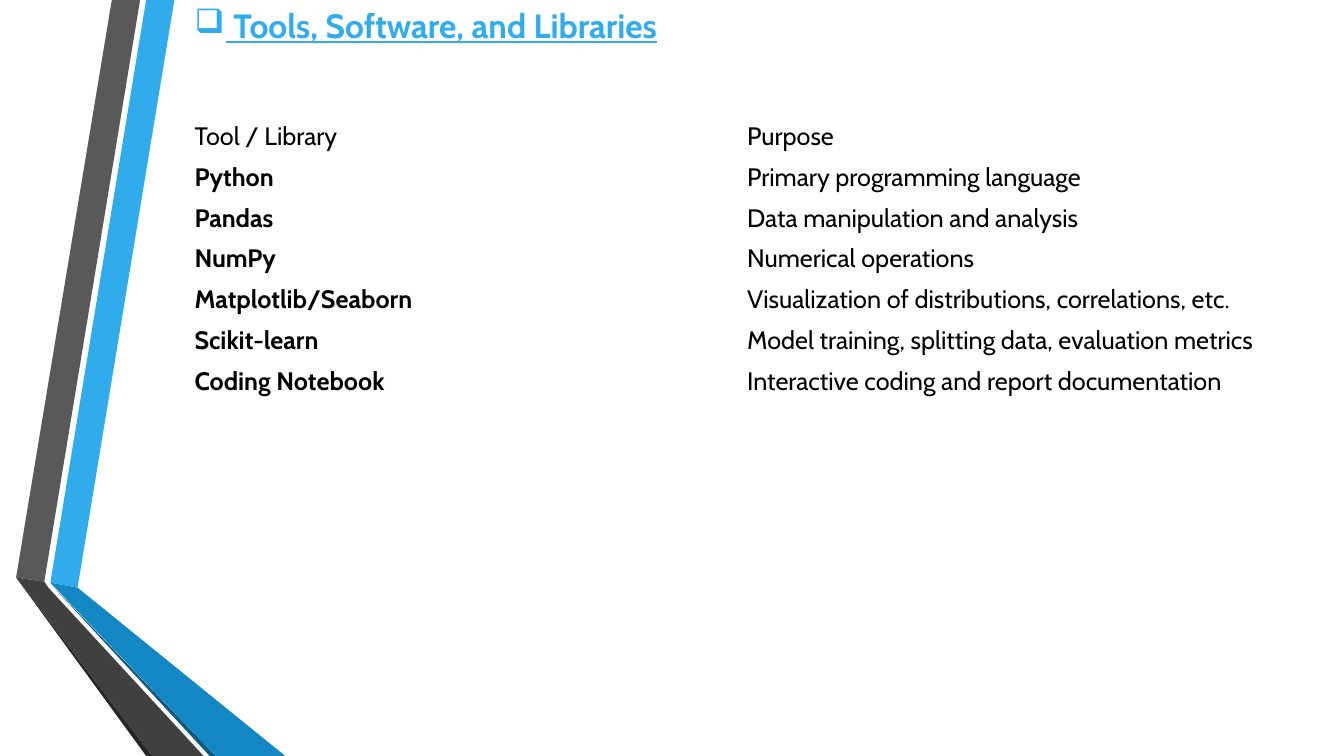
from dataclasses import dataclass

from lxml import etree
from pptx import Presentation
from pptx import util as u
from pptx.dml.color import RGBColor
from pptx.enum import text
from pptx.oxml.ns import qn

FONT = "Cabin"
PLAIN_TABLE_STYLE = "{2D5ABB26-0587-4C30-8999-92F81FD0307C}"
COLORS = {
    "sky": "30ACEC",
    "blue": "1287C3",
    "navy": "0C5A82",
    "gray": "595959",
    "charcoal": "404040",
    "dark": "262626",
    "black": "000000",
}


@dataclass
class Ribbon:
    color: str
    points: list[tuple[float, float]]


@dataclass
class Tool:
    name: str
    purpose: str
    bold: bool = True


RIBBONS = [
    Ribbon("sky", [(0.5, 5.78), (0.77, 5.83), (1.73, 0), (1.45, 0)]),
    Ribbon("gray", [(1.39, 0), (1.11, 0), (0.16, 5.73), (0.44, 5.77)]),
    Ribbon("dark", [(0.16, 5.73), (1.45, 7.5), (1.51, 7.5)]),
    Ribbon("navy", [(0.5, 5.79), (2.08, 7.5), (2.14, 7.5)]),
    Ribbon("blue", [(0.5, 5.78), (2.14, 7.5), (2.83, 7.5), (0.77, 5.83)]),
    Ribbon("charcoal", [(2.02, 7.5), (0.48, 5.83), (0.44, 5.77), (0.16, 5.73), (1.51, 7.5)]),
]

TOOLS = [
    Tool("Tool / Library", "Purpose", bold=False),
    Tool("Python", "Primary programming language"),
    Tool("Pandas", "Data manipulation and analysis"),
    Tool("NumPy", "Numerical operations"),
    Tool("Matplotlib/Seaborn", "Visualization of distributions, correlations, etc."),
    Tool("Scikit-learn", "Model training, splitting data, evaluation metrics"),
    Tool("Coding Notebook", "Interactive coding and report documentation"),
]


def rgb(name: str) -> RGBColor:
    return RGBColor.from_string(COLORS[name])


def format_run(r, size: float, color: str, bold: bool, underline: bool = False) -> None:
    r.font.name = FONT
    r.font.size = u.Pt(size)
    r.font.bold = bold
    r.font.underline = underline
    r.font.color.rgb = rgb(color)


def add_ribbon(s, ribbon: Ribbon) -> None:
    points = [(u.Inches(x), u.Inches(y)) for x, y in ribbon.points]
    builder = s.shapes.build_freeform(*points[0])
    builder.add_line_segments(points[1:], close=True)
    sp = builder.convert_to_shape()
    sp.shadow.inherit = False
    sp.fill.solid()
    sp.fill.fore_color.rgb = rgb(ribbon.color)
    sp.line.fill.background()


def add_title(s, title: str) -> None:
    sp = s.shapes.title
    sp.left, sp.top = u.Inches(1.83), u.Inches(0)
    sp.width, sp.height = u.Inches(6.67), u.Inches(0.81)
    tf = sp.text_frame
    tf.text = title
    tf.word_wrap = True
    tf.auto_size = text.MSO_AUTO_SIZE.NONE
    tf.vertical_anchor = text.MSO_ANCHOR.TOP
    p = tf.paragraphs[0]
    p.alignment = text.PP_ALIGN.LEFT
    format_run(p.runs[0], 24, "sky", bold=True, underline=True)
    # Hanging box bullet
    pPr = p._p.get_or_add_pPr()
    indent = u.Inches(0.31)
    pPr.set("marL", str(indent))
    pPr.set("indent", str(-indent))
    etree.SubElement(pPr, qn("a:buChar")).set("char", "❑")


def add_tool_table(s, tools: list[Tool]) -> None:
    row_height = u.Inches(0.4)
    frame = s.shapes.add_table(len(tools), 2, u.Inches(1.83), u.Inches(1.15),
                               u.Inches(10.96), row_height * len(tools))
    table = frame.table
    table.first_row = False
    table.horz_banding = False
    # Style without borders or fills
    table._tbl.tblPr.find(qn("a:tableStyleId")).text = PLAIN_TABLE_STYLE
    for row, tool in zip(table.rows, tools):
        row.height = row_height
        for cell, label, bold in zip(row.cells, (tool.name, tool.purpose), (tool.bold, False)):
            cell.fill.background()
            cell.vertical_anchor = text.MSO_ANCHOR.MIDDLE
            p = cell.text_frame.paragraphs[0]
            p.text = label
            format_run(p.runs[0], 18, "black", bold)


def main() -> None:
    prs = Presentation()
    prs.slide_width, prs.slide_height = u.Inches(13.33), u.Inches(7.5)
    s = prs.slides.add_slide(prs.slide_layouts.get_by_name("Title Only"))

    # Folded ribbons along the left edge
    for ribbon in RIBBONS:
        add_ribbon(s, ribbon)

    # Heading and table
    add_title(s, " Tools, Software, and Libraries")
    add_tool_table(s, TOOLS)

    prs.save("out.pptx")


if __name__ == "__main__":
    main()
